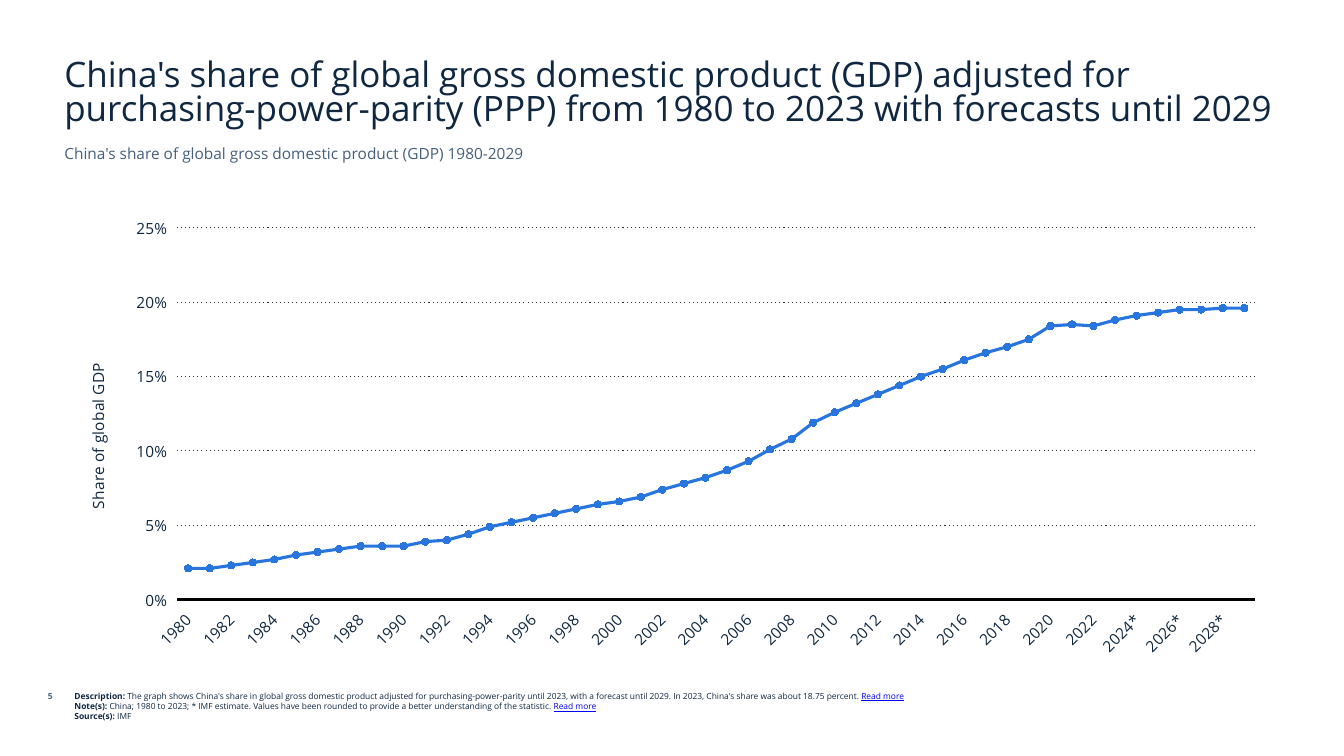
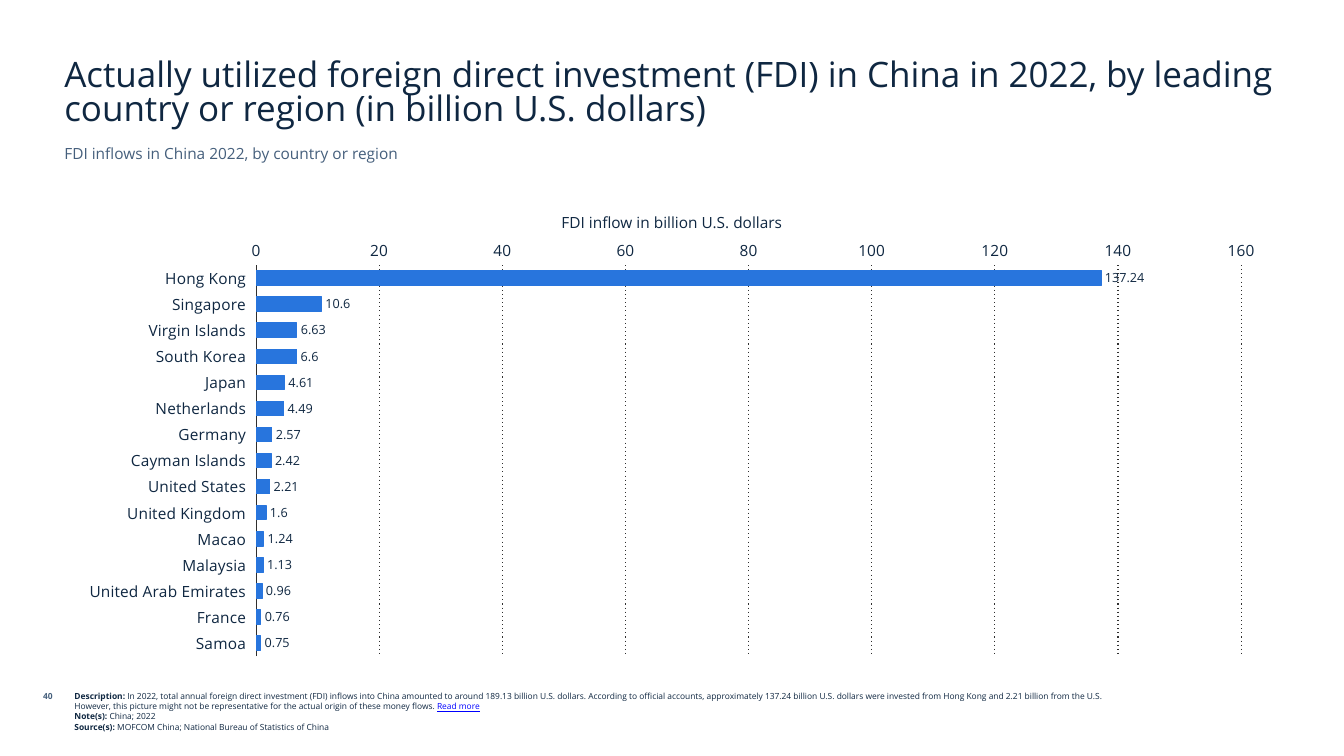
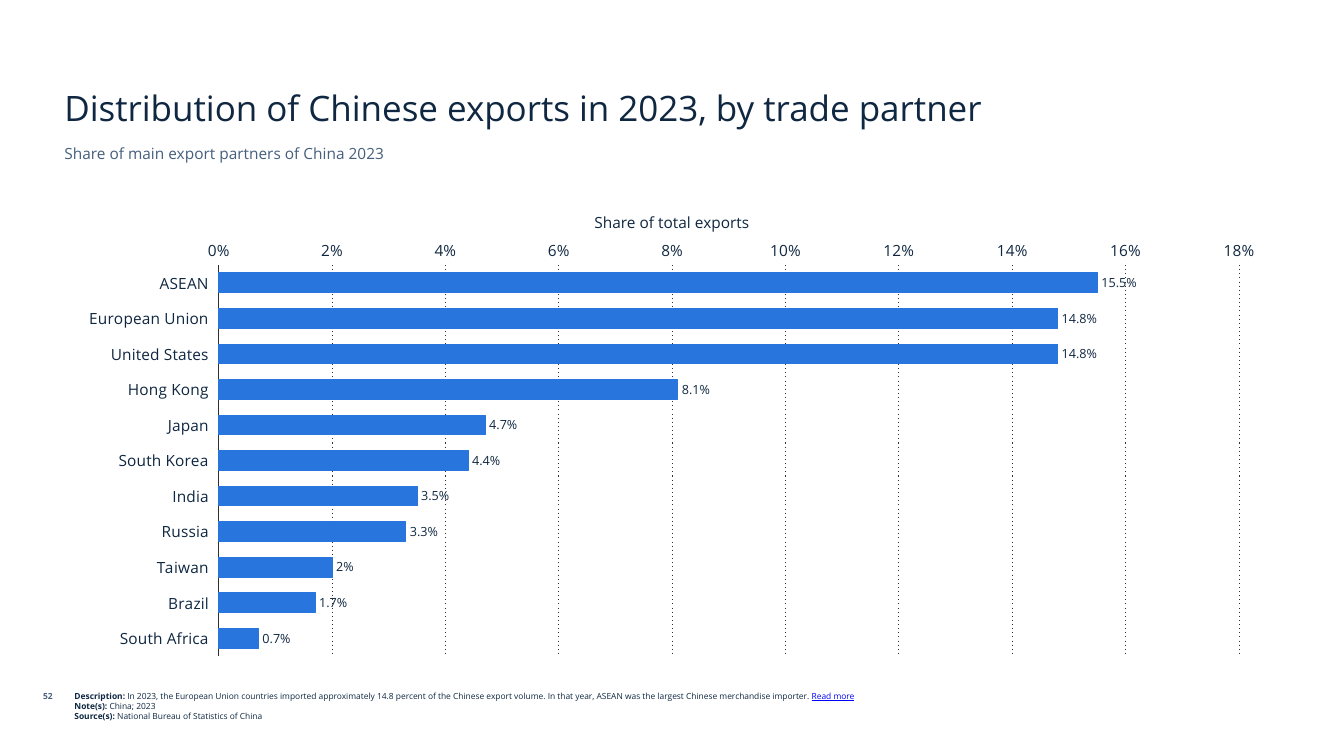
from dataclasses import dataclass

from pptx import Presentation
from pptx.chart.data import CategoryChartData
from pptx.dml.color import RGBColor
from pptx.enum import chart as ce, dml, text
from pptx.oxml import parse_xml
from pptx.oxml.ns import nsdecls, qn
from pptx.util import Inches, Pt


@dataclass(frozen=True)
class Theme:
    font: str = "Open Sans"
    ink: str = "0F2741"
    muted: str = "455F7C"
    link: str = "0000FF"
    series: str = "2875DD"
    grid: str = "2F2F2F"
    baseline: str = "000000"
    title: float = 25
    body: float = 11
    label: float = 9
    note: float = 6


THEME = Theme()
READ_MORE = "Read more"
CHART_LEFT, CHART_WIDTH, CHART_BOTTOM = 0.64, 12.05, 6.6


def style_font(font, size, color=THEME.ink, bold=False):
    font.name = THEME.font
    font.size = Pt(size)
    font.bold = bold
    font.color.rgb = RGBColor.from_string(color)


def style_line(line, color, width):
    line.color.rgb = RGBColor.from_string(color)
    line.width = Pt(width)


def add_run(paragraph, words, size, color=THEME.ink, bold=False):
    run = paragraph.add_run()
    run.text = words
    style_font(run.font, size, color, bold)
    return run


def add_frame(slide, left, top, width, height):
    frame = slide.shapes.add_textbox(
        Inches(left), Inches(top), Inches(width), Inches(height)).text_frame
    frame.word_wrap = True
    return frame


def add_line_of_text(slide, box, words, size, color=THEME.ink, bold=False, align=None):
    frame = add_frame(slide, *box)
    paragraph = frame.paragraphs[0]
    paragraph.alignment = align
    add_run(paragraph, words, size, color, bold)
    return frame


def add_heading(slide, title, subtitle, title_spacing=None):
    frame = add_line_of_text(slide, (0.54, 0.46, 12.24, 0.86), title, THEME.title)
    frame.vertical_anchor = text.MSO_ANCHOR.BOTTOM
    frame.paragraphs[0].line_spacing = title_spacing
    add_line_of_text(slide, (0.54, 1.38, 12.24, 0.34), subtitle, THEME.body, THEME.muted)


def add_footer(slide, page, notes):
    """Add the page number and notes, given as (heading, words, has a read-more mark)."""
    add_line_of_text(slide, (-0.1, 6.81, 0.72, 0.3), str(page), THEME.note,
                     THEME.muted, True, text.PP_ALIGN.RIGHT)
    frame = add_frame(slide, 0.64, 6.81, 10.47, 0.58)
    for index, (heading, words, more) in enumerate(notes):
        paragraph = frame.add_paragraph() if index else frame.paragraphs[0]
        add_run(paragraph, f"{heading}: ", THEME.note, bold=True)
        add_run(paragraph, f"{words} " if more else words, THEME.note)
        if more:
            add_run(paragraph, READ_MORE, THEME.note, THEME.link).font.underline = True


def set_layout(parent, index, **fractions):
    """Fix the place of a chart part, as fractions of the chart."""
    for old in parent.findall(qn("c:layout")):
        parent.remove(old)
    target = '<c:layoutTarget val="inner"/>' if "w" in fractions else ""
    modes = "".join(f'<c:{key}Mode val="edge"/>' for key in "xy")
    values = "".join(f'<c:{key} val="{value:.4f}"/>' for key, value in fractions.items())
    parent.insert(index, parse_xml(
        f'<c:layout {nsdecls("c")}><c:manualLayout>{target}{modes}{values}'
        '</c:manualLayout></c:layout>'))


def add_chart(slide, kind, top, categories, values, value_format, plot_box, axis_format,
              maximum, step):
    """Add a one-series chart; plot_box is left, top, right, bottom on the slide."""
    data = CategoryChartData(number_format=value_format)
    data.categories = categories
    data.add_series("Series 1", values)
    height = CHART_BOTTOM - top
    chart = slide.shapes.add_chart(
        kind, Inches(CHART_LEFT), Inches(top), Inches(CHART_WIDTH), Inches(height), data).chart
    chart.has_legend = False
    chart.has_title = False
    style_font(chart.font, THEME.body)
    chart.plots[0].vary_by_categories = False

    for axis in (chart.category_axis, chart.value_axis):
        axis.major_tick_mark = axis.minor_tick_mark = ce.XL_TICK_MARK.NONE
        style_font(axis.tick_labels.font, THEME.body)
    chart.category_axis.tick_label_position = ce.XL_TICK_LABEL_POSITION.LOW
    scale = chart.value_axis
    scale.minimum_scale, scale.maximum_scale, scale.major_unit = 0, maximum, step
    scale.tick_labels.number_format = axis_format
    scale.tick_labels.number_format_is_linked = False
    scale.format.line.fill.background()
    scale.has_major_gridlines = True
    grid = scale.major_gridlines.format.line
    style_line(grid, THEME.grid, 0.75)
    grid.dash_style = dml.MSO_LINE.ROUND_DOT
    for dash in scale._element.find(qn("c:majorGridlines")).iter(qn("a:prstDash")):
        dash.set("val", "dot")

    left, plot_top, right, bottom = plot_box
    plot_area = chart.plots[0]._element.getparent()
    set_layout(plot_area, 0, x=(left - CHART_LEFT) / CHART_WIDTH, y=(plot_top - top) / height,
               w=(right - left) / CHART_WIDTH, h=(bottom - plot_top) / height)
    return chart


def add_trend_chart(slide, categories, values, axis_title):
    top = 2.06
    chart = add_chart(slide, ce.XL_CHART_TYPE.LINE_MARKERS, top, categories, values, "0.0%",
                      (1.76, 2.26, 12.45, 5.95), "#,##0%", 0.25, 0.05)
    years = chart.category_axis
    style_line(years.format.line, THEME.baseline, 2)
    years._element.find(qn("c:txPr")).find(qn("a:bodyPr")).set("rot", "-2700000")
    years._element.find(qn("c:noMultiLvlLbl")).addprevious(
        parse_xml(f'<c:tickLblSkip {nsdecls("c")} val="2"/>'))

    chart.value_axis.tick_label_position = ce.XL_TICK_LABEL_POSITION.LOW
    title = chart.value_axis.axis_title
    add_run(title.text_frame.paragraphs[0], axis_title, THEME.body)
    title.text_frame._txBody.find(qn("a:bodyPr")).set("rot", "-5400000")
    set_layout(title._element, 1, x=(0.82 - CHART_LEFT) / CHART_WIDTH,
               y=(3.57 - top) / (CHART_BOTTOM - top))

    share = chart.plots[0].series[0]
    share.smooth = False
    style_line(share.format.line, THEME.series, 2.25)
    share.marker.style = ce.XL_MARKER_STYLE.CIRCLE
    share.marker.size = 5
    share.marker.format.fill.solid()
    share.marker.format.fill.fore_color.rgb = RGBColor.from_string(THEME.series)
    style_line(share.marker.format.line, THEME.series, 0.75)


def set_point_format(point, number_format):
    """Give one point's label its own number format."""
    label = point.data_label
    style_font(label.font, THEME.label)
    label.position = ce.XL_LABEL_POSITION.OUTSIDE_END
    label._dLbl.find(qn("c:idx")).addnext(parse_xml(
        f'<c:numFmt {nsdecls("c")} formatCode="{number_format}" sourceLinked="0"/>'))


def add_ranking_chart(slide, ranking, axis_title, title_width, plot_left, plot_right,
                      axis_format, label_format, maximum, step):
    chart = add_chart(slide, ce.XL_CHART_TYPE.BAR_CLUSTERED, 2.3, ranking.keys(),
                      ranking.values(), label_format, (plot_left, 2.63, plot_right, 6.51),
                      axis_format, maximum, step)
    chart.category_axis.reverse_order = True
    style_line(chart.category_axis.format.line, THEME.grid, 0.75)

    plot = chart.plots[0]
    plot.gap_width, plot.overlap = 80, -30
    bars = plot.series[0]
    bars.format.fill.solid()
    bars.format.fill.fore_color.rgb = RGBColor.from_string(THEME.series)
    style_line(bars.format.line, THEME.series, 0.75)
    labels = bars.data_labels
    labels.show_value = True
    labels.position = ce.XL_LABEL_POSITION.OUTSIDE_END
    labels.number_format = label_format
    labels.number_format_is_linked = False
    style_font(labels.font, THEME.label)

    centre = CHART_LEFT + CHART_WIDTH / 2
    add_line_of_text(slide, (centre - title_width / 2, 2.07, title_width, 0.24), axis_title,
                     THEME.body, align=text.PP_ALIGN.CENTER)
    return bars


def build_gdp_slide(slide):
    years = [f"{year}*" if year > 2023 else str(year) for year in range(1980, 2030)]
    shares = [
        0.021, 0.021, 0.023, 0.025, 0.027, 0.03, 0.032, 0.034, 0.036, 0.036,
        0.036, 0.039, 0.04, 0.044, 0.049, 0.052, 0.055, 0.058, 0.061, 0.064,
        0.066, 0.069, 0.074, 0.078, 0.082, 0.087, 0.093, 0.101, 0.108, 0.119,
        0.126, 0.132, 0.138, 0.144, 0.15, 0.155, 0.161, 0.166, 0.17, 0.175,
        0.184, 0.185, 0.184, 0.188, 0.191, 0.193, 0.195, 0.195, 0.196, 0.196]
    add_heading(slide, "China's share of global gross domestic product (GDP) adjusted for "
                "purchasing-power-parity (PPP) from 1980 to 2023 with forecasts until 2029",
                "China's share of global gross domestic product (GDP) 1980-2029", 0.8)
    add_trend_chart(slide, years, shares, "Share of global GDP")
    add_footer(slide, 5, [
        ("Description", "The graph shows China's share in global gross domestic product adjusted "
         "for purchasing-power-parity until 2023, with a forecast until 2029. In 2023, China's "
         "share was about 18.75 percent.", True),
        ("Note(s)", "China; 1980 to 2023; * IMF estimate. Values have been rounded to provide a "
         "better understanding of the statistic.", True),
        ("Source(s)", "IMF", False)])


def build_fdi_slide(slide):
    inflows = {
        "Hong Kong": 137.24, "Singapore": 10.6, "Virgin Islands": 6.63, "South Korea": 6.6,
        "Japan": 4.61, "Netherlands": 4.49, "Germany": 2.57, "Cayman Islands": 2.42,
        "United States": 2.21, "United Kingdom": 1.6, "Macao": 1.24, "Malaysia": 1.13,
        "United Arab Emirates": 0.96, "France": 0.76, "Samoa": 0.75}
    add_heading(slide, "Actually utilized foreign direct investment (FDI) in China in 2022, by "
                "leading country or region (in billion U.S. dollars)",
                "FDI inflows in China 2022, by country or region", 0.8)
    add_ranking_chart(slide, inflows, "FDI inflow in billion U.S. dollars", 3.14, 2.54, 12.31,
                      "#,##0", "General", 160, 20)
    add_footer(slide, 40, [
        ("Description", "In 2022, total annual foreign direct investment (FDI) inflows into China "
         "amounted to around 189.13 billion U.S. dollars. According to official accounts, "
         "approximately 137.24 billion U.S. dollars were invested from Hong Kong and 2.21 billion "
         "from the U.S. However, this picture might not be representative for the actual origin "
         "of these money flows.", True),
        ("Note(s)", "China; 2022", False),
        ("Source(s)", "MOFCOM China; National Bureau of Statistics of China", False)])


def build_export_slide(slide):
    partners = {
        "ASEAN": 0.155, "European Union": 0.148, "United States": 0.148, "Hong Kong": 0.081,
        "Japan": 0.047, "South Korea": 0.044, "India": 0.035, "Russia": 0.033,
        "Taiwan": 0.02, "Brazil": 0.017, "South Africa": 0.007}
    add_heading(slide, "Distribution of Chinese exports in 2023, by trade partner",
                "Share of main export partners of China 2023")
    bars = add_ranking_chart(slide, partners, "Share of total exports", 2.31, 2.17, 12.29,
                             "#,##0%", "0.0%", 0.18, 0.02)
    set_point_format(bars.points[list(partners).index("Taiwan")], "0%")
    add_footer(slide, 52, [
        ("Description", "In 2023, the European Union countries imported approximately 14.8 "
         "percent of the Chinese export volume. In that year, ASEAN was the largest Chinese "
         "merchandise importer.", True),
        ("Note(s)", "China; 2023", False),
        ("Source(s)", "National Bureau of Statistics of China", False)])


def main():
    deck = Presentation()
    deck.slide_width, deck.slide_height = Inches(13.33), Inches(7.5)
    for build in (build_gdp_slide, build_fdi_slide, build_export_slide):
        build(deck.slides.add_slide(deck.slide_layouts[6]))
    deck.save("out.pptx")


if __name__ == "__main__":
    main()
